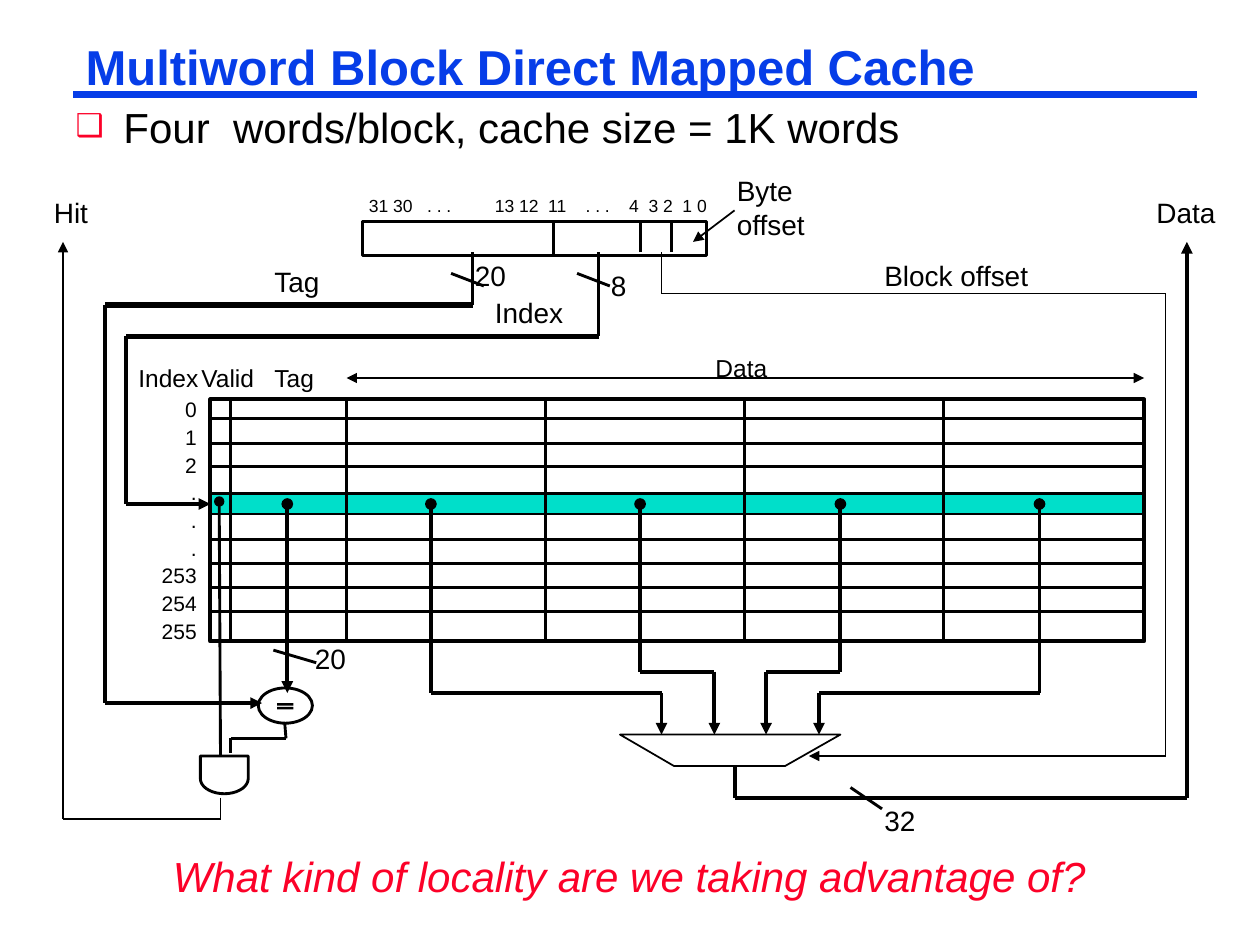
from dataclasses import dataclass
from math import cos, pi, sin
from typing import Optional

from lxml.etree import SubElement
from pptx import Presentation
from pptx.dml.color import RGBColor
from pptx.enum.shapes import MSO_CONNECTOR, MSO_SHAPE
from pptx.enum.text import MSO_ANCHOR, MSO_AUTO_SIZE, PP_ALIGN
from pptx.oxml.ns import qn
from pptx.util import Cm, Pt


@dataclass(frozen=True)
class Theme:
    font: str = "Arial"
    blue: str = "063DE8"
    red: str = "FC0128"
    black: str = "000000"
    teal: str = "00DFCA"
    title: float = 28
    body: float = 24
    label: float = 16
    column: float = 14
    row: float = 12
    bits: float = 10
    thin: float = 1
    medium: float = 1.63
    thick: float = 2.25
    bus: float = 3
    rule: float = 4.5


T = Theme()


@dataclass(frozen=True)
class Label:
    text: str
    box: tuple
    size: float = T.label
    wrap: bool = False
    align: Optional[PP_ALIGN] = None
    spacing: Optional[float] = None


@dataclass(frozen=True)
class Wire:
    """A run of straight segments with optional ends."""
    points: tuple
    width: float = T.thick
    head: str = ""
    tail: str = ""
    color: str = T.black


def inch(v: float) -> int:
    return Cm(v * 2.54)


def rgb(color: str) -> RGBColor:
    return RGBColor.from_string(color)


def write(tf, text: str, *, size: float, color: str = T.black, bold: bool = False,
          italic: bool = False, align=None, spacing=None, wrap: bool = True,
          anchor=MSO_ANCHOR.TOP, fit=MSO_AUTO_SIZE.NONE) -> None:
    tf.word_wrap, tf.vertical_anchor, tf.auto_size = wrap, anchor, fit
    for i, line in enumerate(text.split("\n")):
        p = tf.add_paragraph() if i else tf.paragraphs[0]
        p.alignment, p.line_spacing, p.space_before = align, spacing, Pt(0)
        r = p.add_run()
        r.text = line
        f = r.font
        f.name, f.size, f.bold, f.italic = T.font, Pt(size), bold, italic
        f.color.rgb = rgb(color)


def place(sp, box: tuple) -> None:
    sp.left, sp.top, sp.width, sp.height = map(inch, box)


def add_label(s, lb: Label) -> None:
    sp = s.shapes.add_textbox(*map(inch, lb.box))
    write(sp.text_frame, lb.text, size=lb.size, wrap=lb.wrap, align=lb.align,
          spacing=lb.spacing, fit=MSO_AUTO_SIZE.SHAPE_TO_FIT_TEXT)


def add_wire(s, w: Wire) -> None:
    last = len(w.points) - 2
    for i, (a, b) in enumerate(zip(w.points, w.points[1:])):
        c = s.shapes.add_connector(MSO_CONNECTOR.STRAIGHT, *map(inch, a + b))
        c.line.width = Pt(w.width)
        c.line.color.rgb = rgb(w.color)
        ln = c.line._get_or_add_ln()
        if w.head and i == 0:
            SubElement(ln, qn("a:headEnd"), type=w.head)
        if w.tail and i == last:
            SubElement(ln, qn("a:tailEnd"), type=w.tail)
        SubElement(c._element.spPr, qn("a:effectLst"))


def paint(sp, fill: str = "", line: str = T.black, width: float = T.medium) -> None:
    sp.shadow.inherit = False
    if fill:
        sp.fill.solid()
        sp.fill.fore_color.rgb = rgb(fill)
    else:
        sp.fill.background()
    if line:
        sp.line.color.rgb = rgb(line)
        sp.line.width = Pt(width)
    else:
        sp.line.fill.background()


def add_preset(s, kind, box: tuple, **style) -> None:
    paint(s.shapes.add_shape(kind, *map(inch, box)), **style)


def add_outline(s, points: list, close: bool = True, **style) -> None:
    pts = [(inch(x), inch(y)) for x, y in points]
    fb = s.shapes.build_freeform(*pts[0])
    fb.add_line_segments(pts[1:], close=close)
    paint(fb.convert_to_shape(), **style)


prs = Presentation()
prs.slide_width, prs.slide_height = inch(10), inch(7.5)
s = prs.slides.add_slide(prs.slide_layouts[1])
title, body = s.placeholders[0], s.placeholders[1]

# Title, rule and bullet
add_wire(s, Wire(((0.58, 0.75), (9.5, 0.75)), T.rule, color=T.blue))
place(title, (0.58, 0.33, 8.92, 0.46))
write(title.text_frame, "Multiword Block Direct Mapped Cache", size=T.title, color=T.blue,
      bold=True, align=PP_ALIGN.LEFT, spacing=0.87, anchor=MSO_ANCHOR.MIDDLE)
place(body, (0.5, 0.83, 8.83, 0.58))
write(body.text_frame, "Four  words/block, cache size = 1K words", size=T.body, spacing=0.8)
pPr = body.text_frame.paragraphs[0]._p.get_or_add_pPr()
pPr.set("marL", str(inch(0.38)))
pPr.set("indent", str(-inch(0.38)))
SubElement(SubElement(pPr, qn("a:buClr")), qn("a:srgbClr"), val=T.red)
SubElement(pPr, qn("a:buSzPct"), val="75000")
SubElement(pPr, qn("a:buChar"), char="\u2751")

# Cache array: highlighted row, row lines, column lines, frame
LEFT, RIGHT, TOP, BOTTOM = 1.67, 9.08, 3.17, 5.09
RECT = MSO_SHAPE.RECTANGLE
add_preset(s, RECT, (LEFT, 3.92, RIGHT - LEFT, 0.16), fill=T.teal)
for y in (3.32, 3.52, 3.7, 4.28, 4.47, 4.66, 4.85):
    add_wire(s, Wire(((LEFT, y), (RIGHT, y)), T.medium))
for x in (1.83, *(2.75 + 1.58 * i for i in range(4))):
    add_wire(s, Wire(((x, TOP), (x, BOTTOM)), T.medium))
add_preset(s, RECT, (LEFT, TOP, RIGHT - LEFT, BOTTOM - TOP), width=T.thick)

# Address register
add_preset(s, RECT, (2.88, 1.76, 2.73, 0.27))
for x, y in ((4.39, 2.03), (5.08, 2), (5.33, 2)):
    add_wire(s, Wire(((x, y), (x, 1.76)), T.medium))

# Comparator, AND gate and multiplexer
add_preset(s, MSO_SHAPE.OVAL, (2.05, 5.46, 0.43, 0.28))
for y in (5.58, 5.61):
    add_preset(s, RECT, (2.2, y, 0.13, 0.02), fill=T.black, line="")
arc = [(1.78 + 0.19 * cos(pi * i / 18), 6.18 + 0.12 * sin(pi * i / 18)) for i in range(19)]
add_outline(s, [(1.59, 6), (1.97, 6), *arc])
add_outline(s, [(4.92, 5.83), (5.35, 6.08), (6.23, 6.08), (6.67, 5.83)], width=T.thin)

# Wires
ARROW, DOT = "triangle", "oval"
wires = [
    # index and tag buses
    Wire(((4.75, 2), (4.75, 2.67))),
    Wire(((4.75, 2.67), (1, 2.67)), T.bus),
    Wire(((1, 2.67), (1, 4), (LEFT, 4)), tail=ARROW),
    Wire(((3.75, 2), (3.75, 2.42))),
    Wire(((3.75, 2.42), (0.83, 2.42)), T.bus),
    Wire(((0.83, 2.42), (0.83, 5.58), (2.08, 5.58)), tail=ARROW),
    # hit logic
    Wire(((2.28, 4), (2.28, 5.5)), head=DOT, tail=ARROW),
    Wire(((1.74, 3.98), (1.75, 6)), T.medium, head=DOT),
    Wire(((2.26, 5.74), (2.27, 5.86), (1.83, 5.86), (1.83, 5.98)), T.medium),
    Wire(((1.75, 6.33), (1.75, 6.5), (0.5, 6.5), (0.5, 1.92)), T.thin, tail=ARROW),
    # block offset, data output and callouts
    Wire(((5.25, 2), (5.25, 2.33), (9.25, 2.33), (9.25, 6), (6.42, 6)), T.thin, tail=ARROW),
    Wire(((5.83, 6.08), (5.83, 6.33), (9.42, 6.33), (9.42, 1.92)), tail=ARROW),
    Wire(((2.75, 3), (RIGHT, 3)), T.thin, ARROW, ARROW),
    Wire(((5.83, 1.67), (5.5, 1.92)), T.thin, tail=ARROW),
]
# data words into the multiplexer
wires += [Wire(((x, 4), (x, y), (pin, y), (pin, 5.83)), head=DOT, tail=ARROW)
          for x, y, pin in ((3.42, 5.5, 5.25), (5.08, 5.33, 5.67),
                            (6.67, 5.33, 6.08), (8.25, 5.5, 6.5))]
# bus width slashes
wires += [Wire(((x, y), (x + dx, y + dy)), T.medium)
          for x, y, dx, dy in ((4.58, 2.17, 0.26, 0.1), (3.58, 2.17, 0.26, 0.1),
                               (2.17, 5.16, 0.34, 0.1), (6.75, 6.25, 0.25, 0.17))]
for w in wires:
    add_wire(s, w)

# Labels
labels = [
    Label("Hit", (0.33, 1.5, 0.47, 0.37)),
    Label("Data", (9.08, 1.5, 0.67, 0.37)),
    Label("Tag", (2.08, 2.05, 0.58, 0.37)),
    Label("20", (3.67, 2, 0.45, 0.37)),
    Label("8", (4.75, 2.08, 0.33, 0.37)),
    Label("Index", (3.83, 2.3, 0.74, 0.37)),
    Label("20", (2.4, 5.04, 0.45, 0.37)),
    Label("32", (6.92, 6.33, 0.45, 0.37)),
    Label("Block offset", (6.92, 2, 1.75, 0.37), wrap=True),
    Label("Byte offset", (5.75, 1.33, 0.92, 0.64), wrap=True),
    Label("31 30   . . .         13 12  11    . . .    4  3 2  1 0",
          (2.83, 1.5, 3.35, 0.27), T.bits, wrap=True),
    Label("Index", (1, 2.83, 0.68, 0.33), T.column),
    Label("Valid", (1.5, 2.83, 0.63, 0.33), T.column),
    Label("Tag", (2.08, 2.83, 0.53, 0.33), T.column),
    Label("Data", (5.58, 2.75, 0.61, 0.33), T.column),
    Label("0\n1\n2\n.\n.\n.\n253\n254\n255", (1.18, 3.08, 0.48, 2.09), T.row,
          align=PP_ALIGN.RIGHT, spacing=1.1),
]
for lb in labels:
    add_label(s, lb)

# Closing question
question = s.shapes.add_textbox(*map(inch, (0.58, 6.75, 8.83, 0.5)))
write(question.text_frame, "What kind of locality are we taking advantage of?", size=T.body,
      color=T.red, italic=True, align=PP_ALIGN.CENTER, spacing=0.9)

prs.save("out.pptx")
